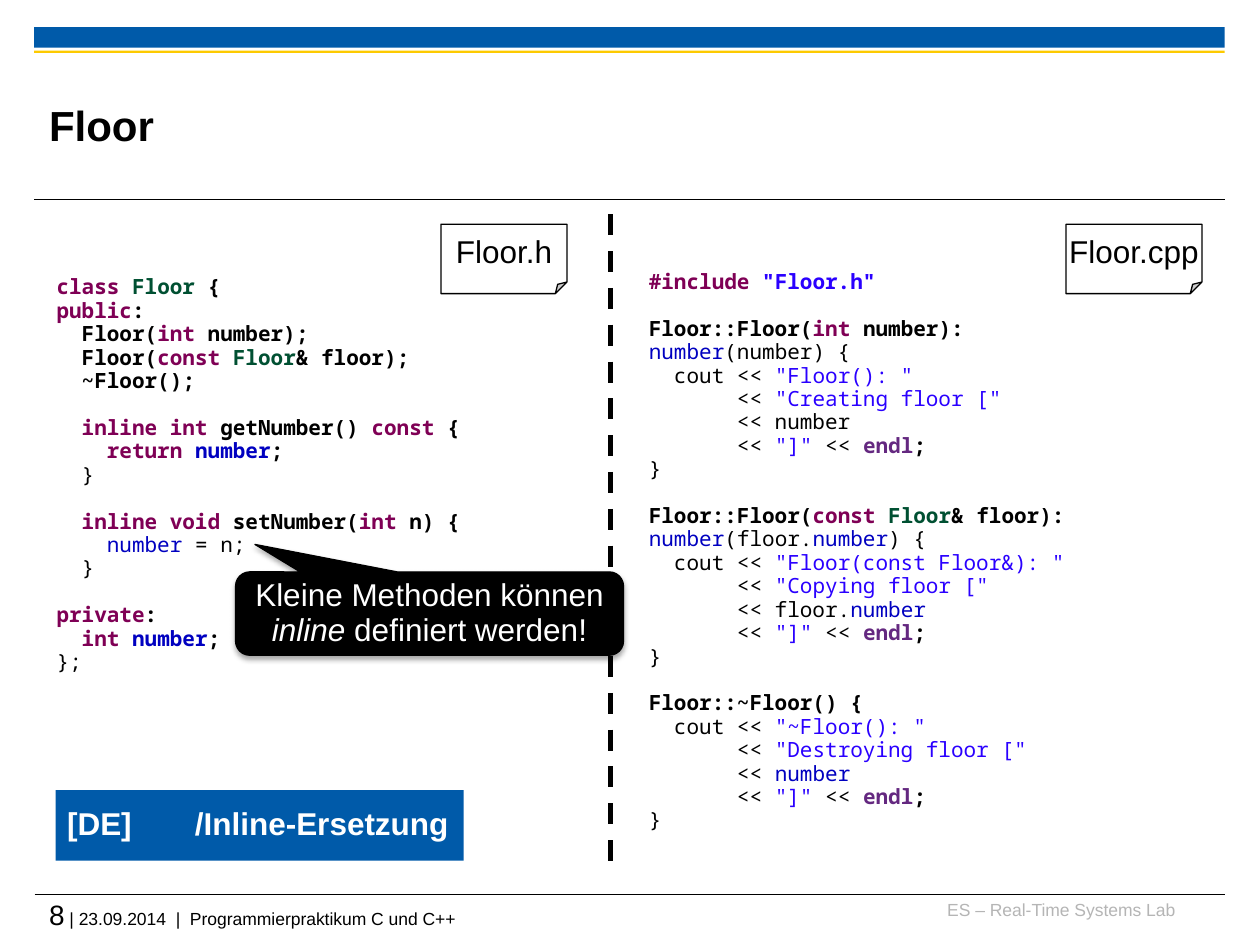
from dataclasses import dataclass
from typing import NamedTuple

from lxml.etree import SubElement
from pptx import Presentation
from pptx.dml.color import RGBColor
from pptx.enum.dml import MSO_LINE_DASH_STYLE as Dash
from pptx.enum.shapes import MSO_CONNECTOR as Connector, MSO_SHAPE as Preset
from pptx.enum.text import MSO_ANCHOR as Anchor, PP_ALIGN as Align
from pptx.oxml.ns import qn
from pptx.util import Cm, Pt

COLORS = {
    "black": "000000", "white": "FFFFFF", "blue": "005AA9", "yellow": "FDCA00",
    "gray": "B5B5B5", "keyword": "7F0055", "type": "005032", "field": "0000C0",
    "string": "2A00FF", "manipulator": "642880",
}
SANS, MONO = "Arial", "Noto Sans Mono"
LINE_SPACING = 0.93
BLOCK_GAP = Pt(13.4)
LEFT, WIDTH = 0.69, 24


class Span(NamedTuple):
    text: str
    size: float = 18
    color: str = "black"
    bold: bool = False
    italic: bool = False
    font: str = SANS


class Area(NamedTuple):
    left: float
    top: float
    width: float
    height: float


@dataclass
class Rule:
    start: tuple[float, float]
    end: tuple[float, float]
    width: float = 0.6
    dash: Dash | None = None


@dataclass
class FileNote:
    name: str
    area: Area


@dataclass
class Listing:
    area: Area
    blocks: list[str]


RULES = [
    Rule((0.7, 18.03), (24.7, 18.03)),
    Rule((LEFT, 4.03), (LEFT + WIDTH, 4.03)),
    Rule((12.3, 4.32), (12.3, 17.65), 3, Dash.DASH),
]
FILE_NOTES = [
    FileNote("Floor.h", Area(8.89, 4.52, 2.54, 1.4)),
    FileNote("Floor.cpp", Area(21.49, 4.52, 2.74, 1.4)),
]
# Each code span is a style key followed by its text; "|" separates spans.
CODE_STYLES = {
    "K": ("keyword", True), "T": ("type", True), "N": ("black", True),
    "n": ("black", False), "F": ("field", True), "f": ("field", False),
    "S": ("string", True), "s": ("string", False), "E": ("manipulator", True),
}
PRINT_END = 'n       << |s"]"|n << |Eendl|N;\nn}'
LISTINGS = [
    Listing(Area(0.89, 5.44, 11.2, 8.36), [
        "Kclass |TFloor|N {\n"
        "Kpublic|N:\n"
        "N  Floor(|Kint |Nnumber);\n"
        "N  Floor(|Kconst |TFloor|N& floor);\n"
        "N  ~Floor();",
        "K  inline int |NgetNumber() |Kconst|N {\n"
        "K    return |Fnumber|N;\n"
        "n  }",
        "K  inline void |NsetNumber(|Kint|N n) {\n"
        "f    number|n = n;\n"
        "n  }",
        "Kprivate|N:\n"
        "K  int |Fnumber|N;\n"
        "n};",
    ]),
    Listing(Area(12.83, 5.33, 12.7, 11.71), [
        'K#include |S"Floor.h"',
        "NFloor::Floor(|Kint |Nnumber):\n"
        "fnumber|n(number) {\n"
        'n  cout << |s"Floor(): "\n'
        'n       << |s"Creating floor ["\n'
        "n       << number\n" + PRINT_END,
        "NFloor::Floor(|Kconst |TFloor|N& floor):\n"
        "fnumber|n(floor.|fnumber|n) {\n"
        'n  cout << |s"Floor(const Floor&): "\n'
        'n       << |s"Copying floor ["\n'
        "n       << floor.|fnumber\n" + PRINT_END,
        "NFloor::~Floor() {\n"
        'n  cout << |s"~Floor(): "\n'
        'n       << |s"Destroying floor ["\n'
        "n       << |fnumber\n" + PRINT_END,
    ]),
]


def rgb(name: str) -> RGBColor:
    return RGBColor.from_string(COLORS[name])


def place(area: Area) -> list[Cm]:
    return [Cm(length) for length in area]


def write(para, spans: list[Span], *, align=Align.LEFT, spacing=LINE_SPACING) -> None:
    para.alignment = align
    para.line_spacing = spacing
    for span in spans:
        run = para.add_run()
        run.text = span.text
        run.font.name = span.font
        run.font.size = Pt(span.size)
        run.font.bold = span.bold
        run.font.italic = span.italic
        run.font.color.rgb = rgb(span.color)


def add_text(page, area: Area, spans: list[Span], *, align=Align.LEFT,
             anchor=Anchor.TOP, wrap=True, inset=True, spacing=LINE_SPACING):
    frame = page.shapes.add_textbox(*place(area)).text_frame
    frame.word_wrap = wrap
    frame.vertical_anchor = anchor
    if not inset:
        frame.margin_left = frame.margin_right = frame.margin_top = frame.margin_bottom = 0
    write(frame.paragraphs[0], spans, align=align, spacing=spacing)
    return frame


def add_box(page, preset: Preset, area: Area, *, fill: str, outline=False,
            spans=(), wrap=True):
    box = page.shapes.add_shape(preset, *place(area))
    box.shadow.inherit = False
    box.fill.solid()
    box.fill.fore_color.rgb = rgb(fill)
    if outline:
        box.line.color.rgb = rgb("black")
        box.line.width = Pt(0.75)
    else:
        box.line.fill.background()
    if spans:
        box.text_frame.word_wrap = wrap
        box.text_frame.vertical_anchor = Anchor.MIDDLE
        write(box.text_frame.paragraphs[0], spans, align=Align.CENTER)
    return box


def add_rule(page, rule: Rule) -> None:
    line = page.shapes.add_connector(
        Connector.STRAIGHT, *(Cm(value) for value in rule.start + rule.end))
    line.line.color.rgb = rgb("black")
    line.line.width = Pt(rule.width)
    if rule.dash:
        line.line.dash_style = rule.dash
    SubElement(line.element.spPr, qn("a:effectLst"))


def add_listing(page, listing: Listing) -> None:
    frame = add_text(page, listing.area, [])
    para = frame.paragraphs[0]
    for block_index, block in enumerate(listing.blocks):
        for line_index, line in enumerate(block.split("\n")):
            if block_index or line_index:
                para = frame.add_paragraph()
            if block_index and not line_index:
                para.space_before = BLOCK_GAP
            spans = []
            for piece in line.split("|"):
                color, bold = CODE_STYLES[piece[0]]
                spans.append(Span(piece[1:], 12, color, bold, font=MONO))
            write(para, spans)


def add_shadow(box) -> None:
    effects = box.element.spPr.find(qn("a:effectLst"))
    shadow = SubElement(effects, qn("a:outerShdw"), blurRad=str(Pt(3.1)),
                        dist=str(Pt(1.8)), dir="5400000", rotWithShape="0")
    color = SubElement(shadow, qn("a:srgbClr"), val=COLORS["black"])
    SubElement(color, qn("a:alpha"), val="35000")


def add_callout(page) -> None:
    spans = [Span("Kleine Methoden können ", color="white"),
             Span("inline", color="white", italic=True),
             Span(" definiert werden!", color="white")]
    callout = add_box(page, Preset.ROUNDED_RECTANGULAR_CALLOUT,
                      Area(4.75, 11.53, 7.82, 1.68), fill="black", outline=True, spans=spans)
    for index, value in enumerate((-0.45, -0.83, 0.17)):
        callout.adjustments[index] = value
    add_shadow(callout)


def main() -> None:
    deck = Presentation()
    deck.slide_width, deck.slide_height = Cm(25.4), Cm(19.05)
    page = deck.slides.add_slide(deck.slide_layouts[6])
    add_box(page, Preset.RECTANGLE, Area(LEFT, 0.55, WIDTH, 0.41), fill="blue")
    add_box(page, Preset.RECTANGLE, Area(LEFT, 1.02, WIDTH, 0.05), fill="yellow")
    for rule in RULES:
        add_rule(page, rule)
    add_text(page, Area(18.69, 18.13, 5, 0.63),
             [Span("ES – Real-Time Systems Lab", 10, "gray")],
             align=Align.RIGHT, inset=False, spacing=1)
    add_text(page, Area(0.99, 18.09, 23.7, 0.84),
             [Span("8", 16), Span(" | 23.09.2014  |  Programmierpraktikum C und C++", 10)],
             inset=False, spacing=1)
    add_text(page, Area(0.99, 1.35, 19.1, 2.34), [Span("Floor", 24, bold=True)],
             anchor=Anchor.MIDDLE, inset=False, spacing=1)
    for listing in LISTINGS:
        add_listing(page, listing)
    add_callout(page)
    for note in FILE_NOTES:
        add_box(page, Preset.FOLDED_CORNER, note.area, fill="white", outline=True,
                spans=[Span(note.name)], wrap=False)
    add_box(page, Preset.RECTANGLE, Area(1.12, 15.93, 8.23, 1.42), fill="blue")
    add_text(page, Area(3.68, 16.15, 5.69, 0.97),
             [Span("/Inline-Ersetzung", color="white", bold=True)], wrap=False)
    add_text(page, Area(1.09, 16.15, 1.83, 0.97),
             [Span("[DE]", color="white", bold=True)], align=Align.CENTER, wrap=False)
    deck.save("out.pptx")


if __name__ == "__main__":
    main()
